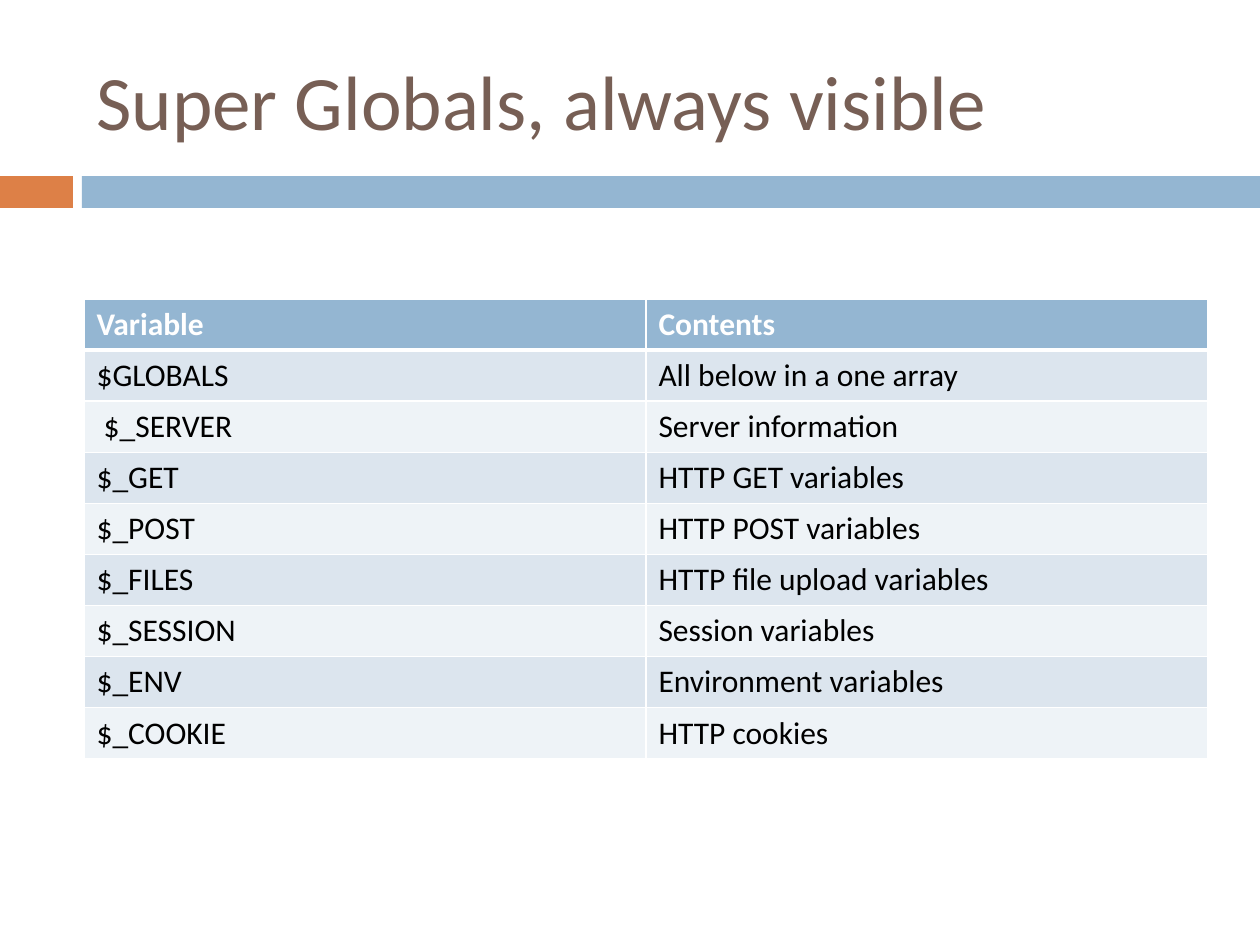
from dataclasses import dataclass

from lxml import etree
from pptx import Presentation
from pptx.dml.color import RGBColor
from pptx.enum.shapes import MSO_SHAPE
from pptx.enum.text import MSO_ANCHOR
from pptx.oxml.ns import qn
from pptx.util import Emu, Pt

RECTANGLE = MSO_SHAPE.RECTANGLE
MIDDLE = MSO_ANCHOR.MIDDLE
PIXEL = 914400 // 126
BLANK_LAYOUT = 6

ROWS = [
    ("Variable", "Contents"),
    ("$GLOBALS", "All below in a one array"),
    (" $_SERVER", "Server information"),
    ("$_GET", "HTTP GET variables"),
    ("$_POST", "HTTP POST variables"),
    ("$_FILES", "HTTP file upload variables"),
    ("$_SESSION", "Session variables"),
    ("$_ENV", "Environment variables"),
    ("$_COOKIE", "HTTP cookies"),
]


@dataclass(frozen=True)
class Theme:
    """Colours, font and type sizes of the slide."""
    font: str = "Calibri"
    title_size: int = 44
    table_size: int = 18
    title: str = "775F55"
    accent: str = "DD8047"
    primary: str = "94B6D2"
    bands: tuple = ("EEF3F7", "DCE5EE")
    light: str = "FFFFFF"
    dark: str = "000000"


THEME = Theme()


def px(*lengths):
    """Turn pixel lengths into EMU."""
    return [Emu(length * PIXEL) for length in lengths]


def write_text(frame, text, *, size, color, bold=False):
    """Put one formatted run of text into a text frame."""
    run = frame.paragraphs[0].add_run()
    run.text = text
    run.font.name = THEME.font
    run.font.size = Pt(size)
    run.font.bold = bold
    run.font.color.rgb = RGBColor.from_string(color)


def add_bar(slide, box, color):
    """Add a plain filled rectangle."""
    shape = slide.shapes.add_shape(RECTANGLE, *px(*box))
    shape.shadow.inherit = False
    shape.fill.solid()
    shape.fill.fore_color.rgb = RGBColor.from_string(color)
    shape.line.fill.background()


def add_title(slide, box, text):
    """Add the vertically centred slide title."""
    frame = slide.shapes.add_textbox(*px(*box)).text_frame
    frame.word_wrap = True
    frame.vertical_anchor = MIDDLE
    write_text(frame, text, size=THEME.title_size, color=THEME.title)


def set_borders(cell, **widths):
    """Draw light cell borders; widths in points are keyed by side."""
    properties = cell._tc.get_or_add_tcPr()
    for side, width in widths.items():
        line = etree.SubElement(properties, qn(f"a:ln{side}"), w=str(Pt(width)))
        fill = etree.SubElement(line, qn("a:solidFill"))
        etree.SubElement(fill, qn("a:srgbClr"), val=THEME.light)


def add_banded_table(slide, box, rows):
    """Add a table with a bold header row and alternating bands."""
    table = slide.shapes.add_table(len(rows), len(rows[0]), *px(*box)).table
    for row_index, texts in enumerate(rows):
        header = row_index == 0
        fill = THEME.primary if header else THEME.bands[row_index % 2]
        for column_index, text in enumerate(texts):
            cell = table.cell(row_index, column_index)
            set_borders(cell, L=1, R=1, T=3 if row_index == 1 else 1,
                        B=3 if header else 1)
            cell.fill.solid()
            cell.fill.fore_color.rgb = RGBColor.from_string(fill)
            write_text(cell.text_frame, text, size=THEME.table_size, bold=header,
                       color=THEME.light if header else THEME.dark)


def main():
    """Build and save the slide."""
    presentation = Presentation()
    presentation.slide_width, presentation.slide_height = px(1260, 945)
    slide = presentation.slides.add_slide(presentation.slide_layouts[BLANK_LAYOUT])
    add_bar(slide, (0, 176, 73, 32), THEME.accent)
    add_bar(slide, (82, 176, 1178, 32), THEME.primary)
    add_title(slide, (84, 32, 1124, 136), "Super Globals, always visible")
    add_banded_table(slide, (84, 299, 1124, 460), ROWS)
    presentation.save("out.pptx")


main()
